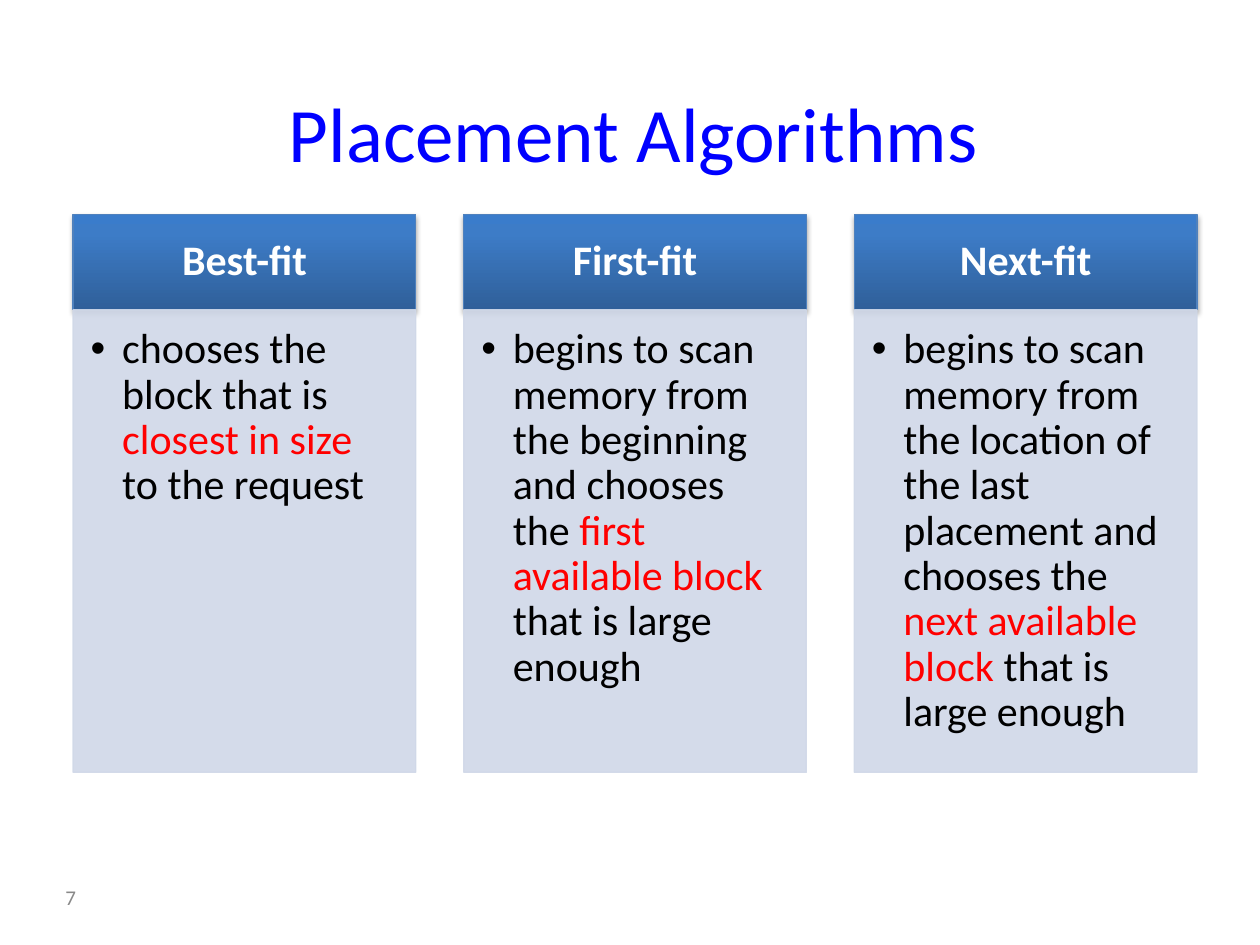
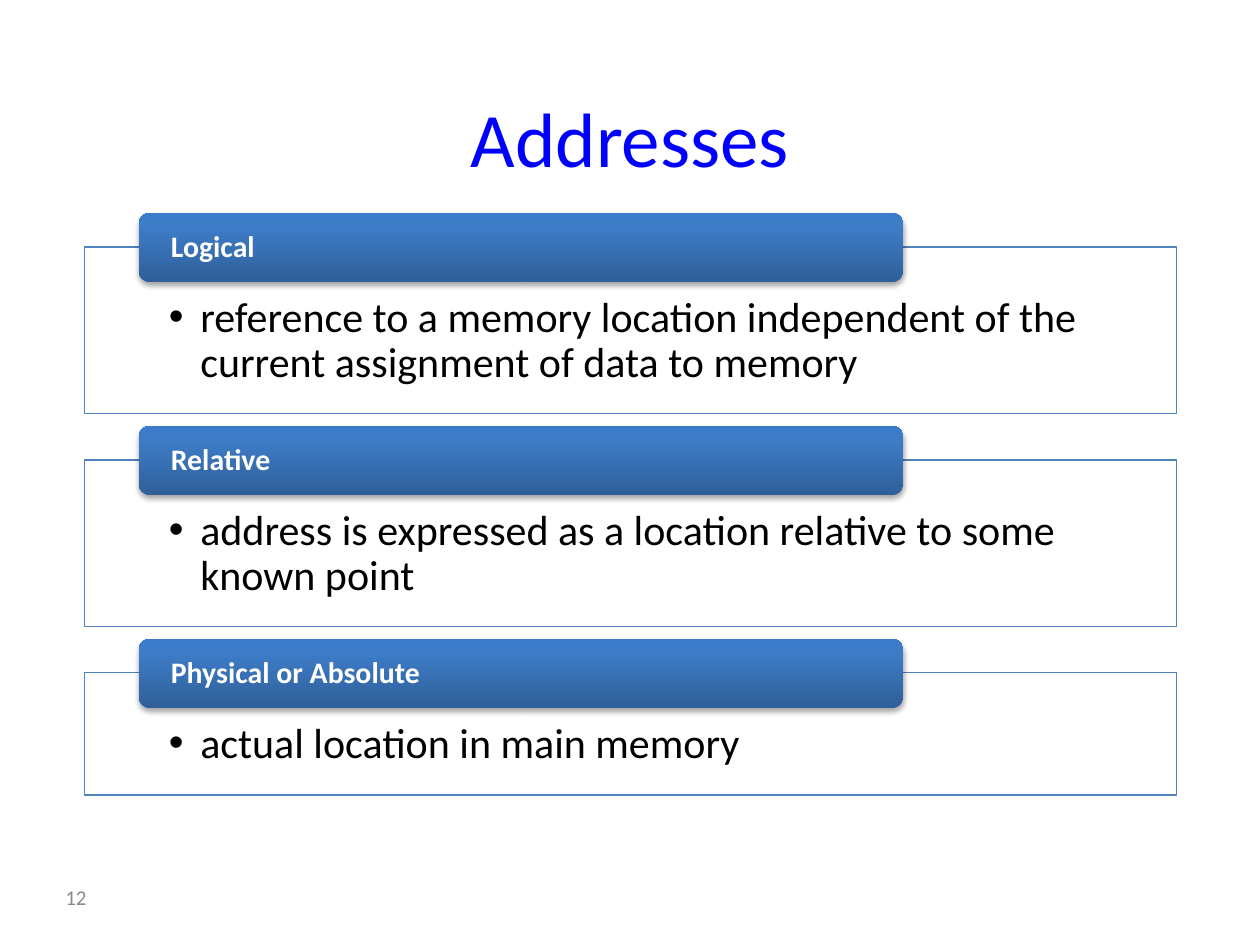
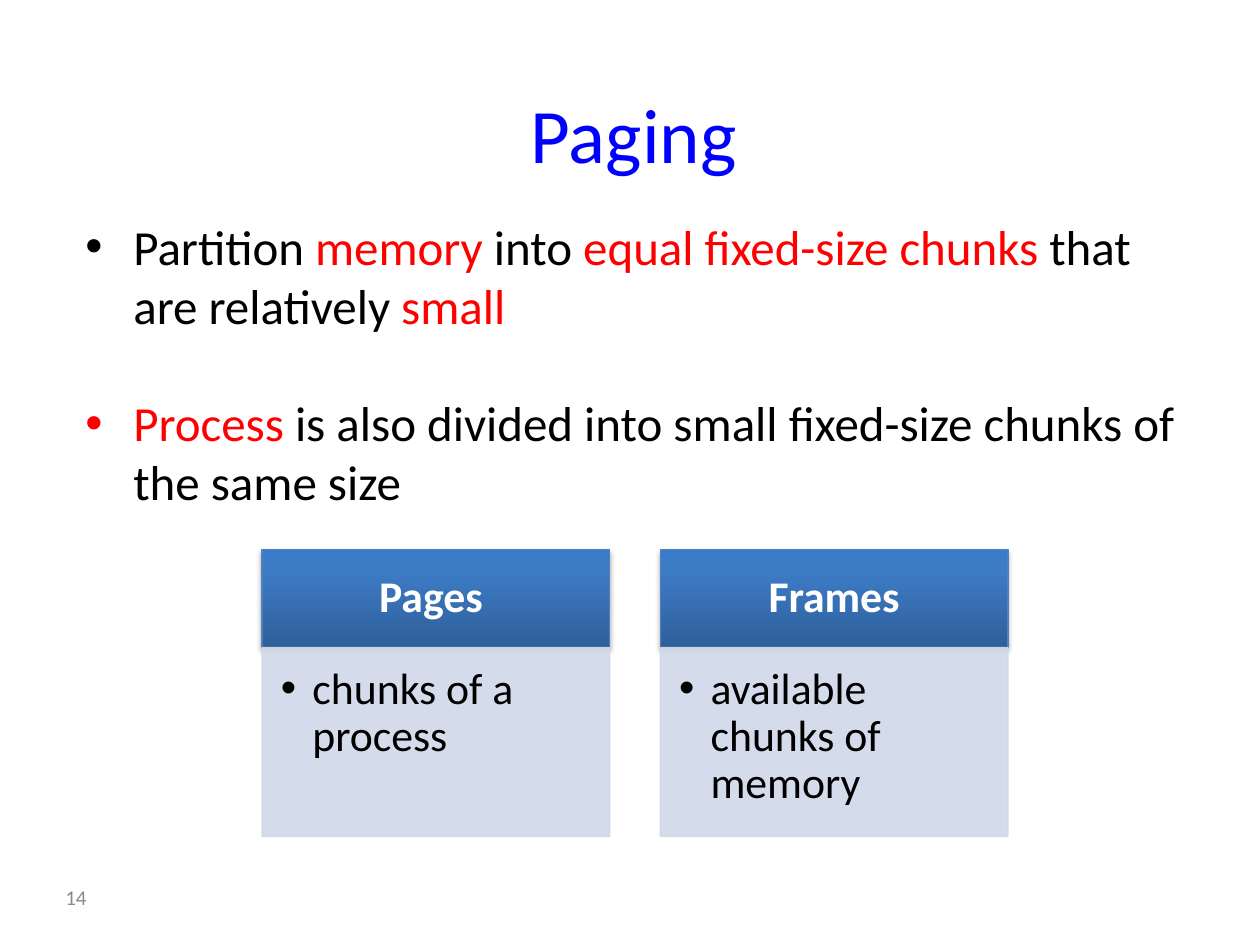
from lxml import etree
from pptx import Presentation
from pptx.dml.color import RGBColor
from pptx.enum.shapes import MSO_SHAPE
from pptx.enum.text import MSO_ANCHOR, PP_ALIGN
from pptx.oxml.ns import qn
from pptx.util import Inches, Pt

RECTANGLE, ROUNDED = MSO_SHAPE.RECTANGLE, MSO_SHAPE.ROUNDED_RECTANGLE
TOP, MIDDLE = MSO_ANCHOR.TOP, MSO_ANCHOR.MIDDLE
LEFT, CENTER = PP_ALIGN.LEFT, PP_ALIGN.CENTER
FONT = "Calibri"
COLORS = {
    "title": "0000FF", "text": "000000", "highlight": "FF0000",
    "white": "FFFFFF", "number": "898989", "border": "4F81BD",
    "card": "D0D8E8", "shadow": "000000",
}
HEADER_STOPS = [(0, "2F5F99"), (80, "3D7CC7"), (100, "3A7CCB")]


def write(box, *texts, size, color="text", bold=False, align=LEFT, anchor=TOP,
          insets=(0.1, 0.05, 0.1, 0.05), indent=0, spacing=None, gap=0):
    """Fill a box with one paragraph per text; *starred* words are highlighted."""
    frame = box.text_frame
    frame.word_wrap = True
    frame.vertical_anchor = anchor
    (frame.margin_left, frame.margin_top,
     frame.margin_right, frame.margin_bottom) = map(Inches, insets)
    for index, text in enumerate(texts):
        para = frame.add_paragraph() if index else frame.paragraphs[0]
        para.alignment = align
        if indent:
            properties = para._p.get_or_add_pPr()
            properties.set("marL", str(Inches(indent)))
            properties.set("indent", str(-Inches(indent)))
            etree.SubElement(properties, qn("a:buFont"), typeface="Arial")
            etree.SubElement(properties, qn("a:buChar"), char="•")
        if spacing:
            para.line_spacing = spacing
        if index:
            para.space_before = Pt(gap)
        for position, piece in enumerate(text.split("*")):
            if piece:
                span = para.add_run()
                span.text = piece
                span.font.name = FONT
                span.font.size = Pt(size)
                span.font.bold = bold
                shade = "highlight" if position % 2 else color
                span.font.color.rgb = RGBColor.from_string(COLORS[shade])


def add_box(page, kind, place, fill=None, line=None, line_alpha=100):
    """Add a box with a 90% opaque fill, or a shadowed gradient when fill is None."""
    box = page.shapes.add_shape(kind, *map(Inches, place))
    box.shadow.inherit = False
    properties = box._element.spPr
    if fill:
        box.fill.solid()
        box.fill.fore_color.rgb = RGBColor.from_string(COLORS[fill])
        shade = properties.find(qn("a:solidFill"))[0]
        etree.SubElement(shade, qn("a:alpha"), val="90000")
    else:
        box.fill.gradient()
        box.fill.gradient_angle = 90
        stops = properties.find(".//" + qn("a:gsLst"))
        for stop in list(stops):
            stops.remove(stop)
        for percent, value in HEADER_STOPS:
            stop = etree.SubElement(stops, qn("a:gs"), pos=str(percent * 1000))
            etree.SubElement(stop, qn("a:srgbClr"), val=value)
        shadow = etree.SubElement(
            properties.find(qn("a:effectLst")), qn("a:outerShdw"), blurRad=str(Pt(3.1)),
            dist=str(Pt(1.8)), dir="5400000", rotWithShape="0")
        shade = etree.SubElement(shadow, qn("a:srgbClr"), val=COLORS["shadow"])
        etree.SubElement(shade, qn("a:alpha"), val="35000")
    if line:
        box.line.color.rgb = RGBColor.from_string(COLORS[line])
        box.line.width = Pt(0.75)
        shade = properties.find(qn("a:ln")).find(".//" + qn("a:srgbClr"))
        etree.SubElement(shade, qn("a:alpha"), val=str(line_alpha * 1000))
    else:
        box.line.fill.background()
    return box


deck = Presentation()
deck.slide_width, deck.slide_height = Inches(10), Inches(7.5)

# Titles and slide numbers
pages = []
for title, number, place in [
    ("Placement Algorithms", "7", (0.75, 0.42, 8.56, 1.25)),
    ("Addresses", "12", (0.72, 0.5, 8.56, 1.17)),
    ("Paging", "14", (0.75, 0.33, 8.56, 1.45)),
]:
    page = deck.slides.add_slide(deck.slide_layouts[6])
    write(page.shapes.add_textbox(*map(Inches, place)), title,
          size=44, color="title", align=CENTER, anchor=MIDDLE)
    write(page.shapes.add_textbox(*map(Inches, (0.42, 6.92, 1.08, 0.4))), number,
          size=12, color="number", anchor=MIDDLE)
    pages.append(page)
placement, addresses, paging = pages

# Paging points
write(paging.shapes.add_textbox(*map(Inches, (0.58, 1.67, 9.08, 4.67))),
      "Partition *memory* into *equal fixed-size chunks* that are relatively *small*",
      "*Process* is also divided into small fixed-size chunks of the same size",
      size=28, indent=0.38, gap=33.5)

# Header and body cards
placement_cards = [
    ("Best-fit", "chooses the block that is *closest in size *to the request"),
    ("First-fit", "begins to scan memory from the beginning and chooses the "
                  "*first available block* that is large enough"),
    ("Next-fit", "begins to scan memory from the location of the last placement "
                 "and chooses the *next available block* that is large enough"),
]
paging_cards = [
    ("Pages ", "chunks of a process"),
    ("Frames", "available chunks of memory"),
]
for page, cards, left, top, pitch, width, header_height, body_height, size, insets in [
    (placement, placement_cards, 0.58, 1.7, 3.1, 2.72, 0.76, 3.67, 24,
     (0.14, 0.14, 0.19, 0.21)),
    (paging, paging_cards, 2.08, 4.36, 3.16, 2.76, 0.78, 1.5, 25,
     (0.15, 0.15, 0.19, 0.22)),
]:
    for column, (heading, body) in enumerate(cards):
        x = left + column * pitch
        header = add_box(page, RECTANGLE, (x, top, width, header_height), line="border")
        write(header, heading, size=size, color="white", bold=True, align=CENTER,
              anchor=MIDDLE, insets=(0.19, 0.11, 0.19, 0.11), spacing=0.9)
        card = add_box(page, RECTANGLE, (x, top + header_height, width, body_height),
                       fill="card", line="card", line_alpha=90)
        write(card, body, size=size, insets=insets, indent=0.25, spacing=0.9)

# Address kinds
for row, (heading, body, height) in enumerate([
    ("Logical", "reference to a memory location independent of the current "
                "assignment of data to memory", 1.32),
    ("Relative", "address is expressed as a location relative to some known point", 1.32),
    ("Physical or Absolute", "actual location in main memory", 0.97),
]):
    top = 1.69 * (row + 1)
    panel = add_box(addresses, RECTANGLE, (0.67, top + 0.27, 8.67, height),
                    fill="white", line="border")
    write(panel, body, size=24, insets=(0.67, 0.39, 0.67, 0.19), indent=0.25, spacing=0.9)
    tab = add_box(addresses, ROUNDED, (1.1, top, 6.07, 0.55))
    write(tab, heading, size=17, color="white", bold=True, anchor=MIDDLE,
          insets=(0.23, 0, 0.23, 0), spacing=0.9)

deck.save("out.pptx")
